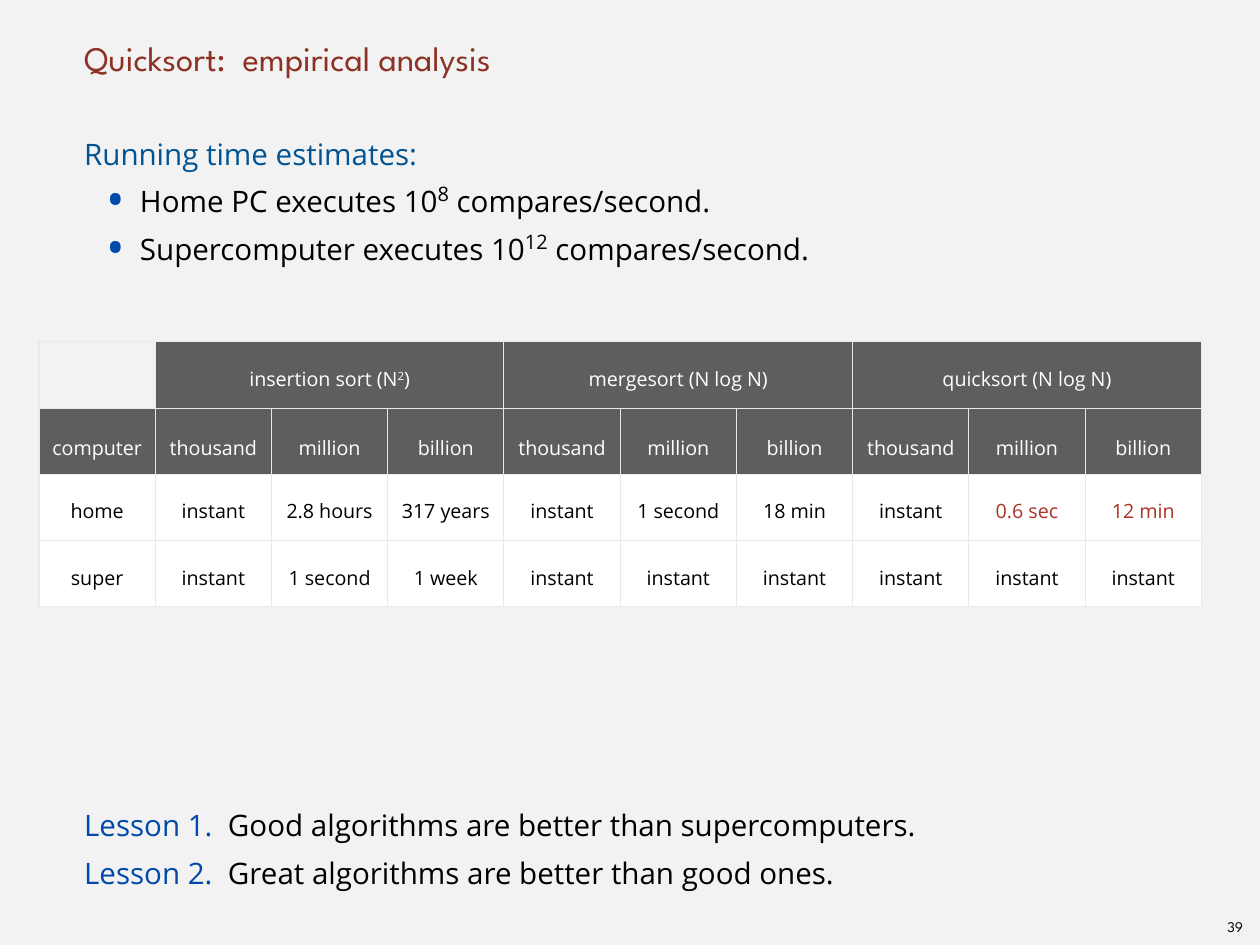
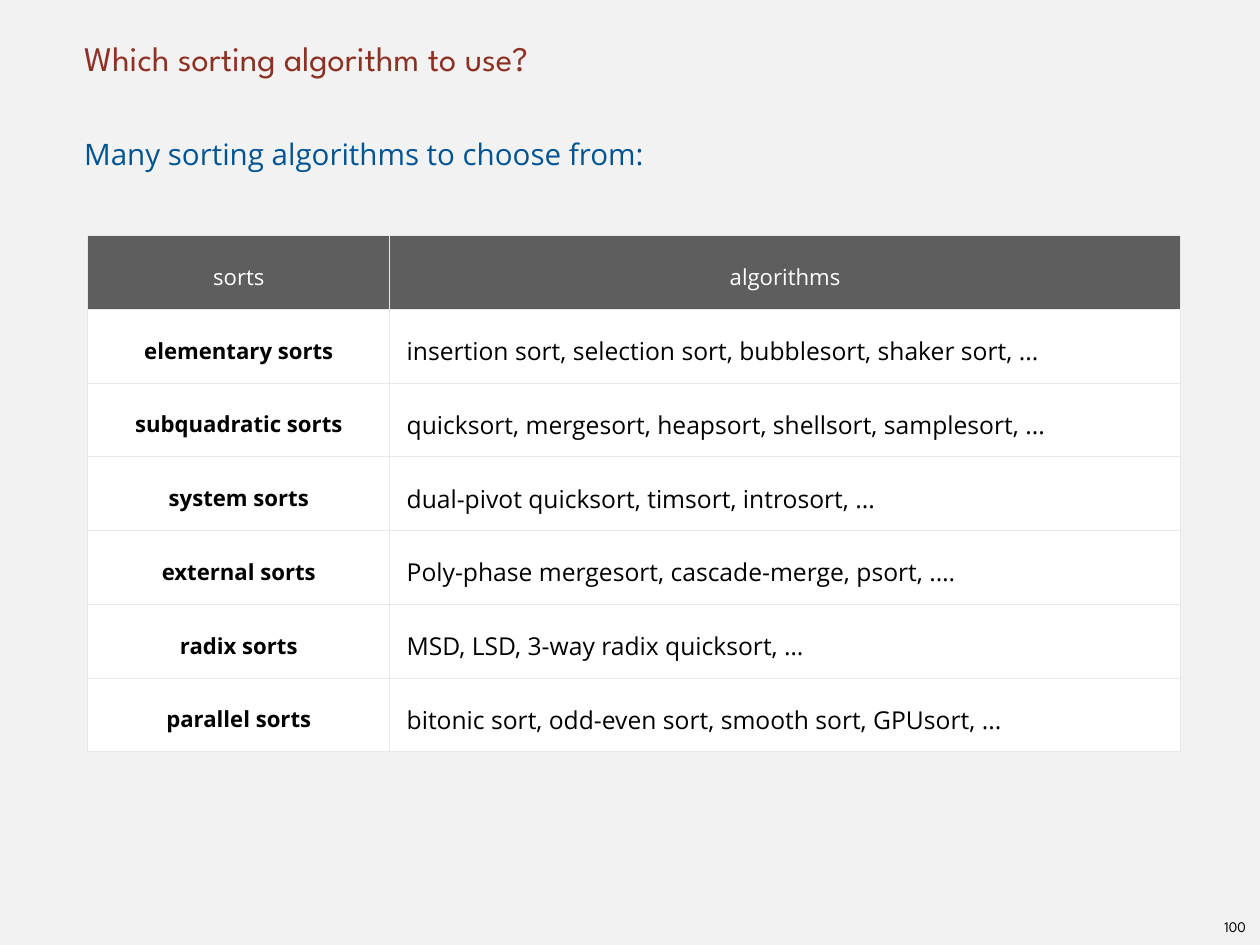
"""Build two lecture slides comparing sorting algorithms."""
from dataclasses import dataclass

from lxml import etree
from pptx import Presentation
from pptx.dml.color import RGBColor
from pptx.enum.text import MSO_ANCHOR, MSO_AUTO_SIZE, PP_ALIGN
from pptx.oxml.ns import qn
from pptx.util import Inches, Pt

LEFT, CENTER = PP_ALIGN.LEFT, PP_ALIGN.CENTER
TOP, MIDDLE, BOTTOM = MSO_ANCHOR.TOP, MSO_ANCHOR.MIDDLE, MSO_ANCHOR.BOTTOM
NO_AUTOFIT = MSO_AUTO_SIZE.NONE

BACKGROUND = RGBColor(0xF2, 0xF2, 0xF2)
TITLE_RED = RGBColor(0x8D, 0x31, 0x24)
HEADING_BLUE = RGBColor(0x00, 0x54, 0x93)
ACCENT_BLUE = RGBColor(0x00, 0x48, 0xAA)
HIGHLIGHT_RED = RGBColor(0xAB, 0x32, 0x26)
HEADER_GRAY = RGBColor(0x5E, 0x5E, 0x5E)
BORDER_GRAY = RGBColor(0xE7, 0xEA, 0xEB)
WHITE = RGBColor(0xFF, 0xFF, 0xFF)
BLACK = RGBColor(0x00, 0x00, 0x00)

TITLE_FONT = "League Spartan"
BODY_FONT = "Open Sans"
BODY_LINE = 39
CELL_LINE = 1.3
INDENT = Inches(0.06)


@dataclass(frozen=True)
class Span:
    """A stretch of text in one format."""
    text: str
    color: RGBColor = BLACK
    size: float = 24
    bold: bool = False
    baseline: int = 0
    font: str = BODY_FONT


@dataclass(frozen=True)
class Line:
    """A paragraph of body text."""
    spans: tuple[Span, ...]
    bullet: bool = False
    lines_before: int = 0


@dataclass(frozen=True)
class Cell:
    """The content and look of a table cell."""
    spans: tuple[Span, ...]
    fill: RGBColor = WHITE
    line_spacing: float = CELL_LINE
    alignment: PP_ALIGN = CENTER
    margin_left: float = 0.06


def set_all(target, values: dict) -> None:
    """Set each named attribute on the target."""
    for name, value in values.items():
        setattr(target, name, value)


def add_spans(paragraph, spans: tuple[Span, ...]) -> None:
    """Append formatted runs to a paragraph."""
    for span in spans:
        run = paragraph.add_run()
        run.text = span.text
        set_all(run.font, {"name": span.font, "size": Pt(span.size), "bold": span.bold})
        run.font.color.rgb = span.color
        if span.baseline:
            run._r.get_or_add_rPr().set("baseline", str(span.baseline * 1000))


def set_indent(paragraph, margin: int, first: int = 0) -> None:
    """Set the left margin and first-line indent of a paragraph."""
    properties = paragraph._p.get_or_add_pPr()
    properties.set("marL", str(margin))
    properties.set("indent", str(first))


def add_bullet(paragraph) -> None:
    """Give a paragraph a large blue bullet."""
    properties = paragraph._p.get_or_add_pPr()
    color = etree.SubElement(properties, qn("a:buClr"))
    etree.SubElement(color, qn("a:srgbClr")).set("val", str(ACCENT_BLUE))
    etree.SubElement(properties, qn("a:buSzPct")).set("val", "167000")
    etree.SubElement(properties, qn("a:buFont")).set("typeface", BODY_FONT)
    etree.SubElement(properties, qn("a:buChar")).set("char", "•")


def set_frame(frame, anchor: MSO_ANCHOR, margin: float = 0, wrap: bool = True) -> None:
    """Set anchor, margins and wrapping of a text frame."""
    sides = ("left", "top", "right", "bottom")
    set_all(frame, {f"margin_{side}": Inches(margin) for side in sides})
    set_all(frame, {"vertical_anchor": anchor, "word_wrap": wrap, "auto_size": NO_AUTOFIT})


def add_titled_slide(presentation, title: str, number: str):
    """Add a slide with its title and page number."""
    slide = presentation.slides.add_slide(presentation.slide_layouts[5])
    shape = slide.shapes.title
    set_all(shape, {"left": Inches(0.89), "top": Inches(0),
                    "width": Inches(12.44), "height": Inches(0.89)})
    set_frame(shape.text_frame, BOTTOM)
    paragraph = shape.text_frame.paragraphs[0]
    paragraph.alignment = LEFT
    set_indent(paragraph, INDENT)
    add_spans(paragraph, (Span(title, TITLE_RED, 28, font=TITLE_FONT),))

    box = slide.shapes.add_textbox(Inches(13.77), Inches(10.3), Inches(0.34), Inches(0.32))
    set_frame(box.text_frame, MIDDLE, 0.06, False)
    paragraph = box.text_frame.paragraphs[0]
    paragraph.alignment = CENTER
    add_spans(paragraph, (Span(number, size=12, font=TITLE_FONT),))
    return slide


def add_body(slide, lines: list[Line]) -> None:
    """Add the body text box."""
    box = slide.shapes.add_textbox(Inches(0.89), Inches(1.39), Inches(12.44), Inches(8.89))
    frame = box.text_frame
    set_frame(frame, TOP)
    for index, line in enumerate(lines):
        paragraph = frame.add_paragraph() if index else frame.paragraphs[0]
        if line.bullet:
            set_indent(paragraph, Inches(0.69), Inches(-0.38))
            add_bullet(paragraph)
        else:
            set_indent(paragraph, INDENT)
        paragraph.line_spacing = Pt(BODY_LINE)
        if line.lines_before:
            paragraph.space_before = Pt(BODY_LINE * line.lines_before)
        add_spans(paragraph, line.spans)


def add_borders(cell) -> None:
    """Draw thin gray borders around a table cell."""
    properties = cell._tc.get_or_add_tcPr()
    for index, edge in enumerate(("lnL", "lnR", "lnT", "lnB")):
        border = etree.Element(qn(f"a:{edge}"), w=str(Pt(1)))
        fill = etree.SubElement(border, qn("a:solidFill"))
        etree.SubElement(fill, qn("a:srgbClr")).set("val", str(BORDER_GRAY))
        properties.insert(index, border)


def fill_cell(cell, content: Cell | None) -> None:
    """Format a table cell and write its content."""
    add_borders(cell)
    if content is None:
        cell.fill.background()
        return
    cell.fill.solid()
    cell.fill.fore_color.rgb = content.fill
    set_all(cell, {"margin_left": Inches(content.margin_left), "margin_right": INDENT,
                   "margin_top": INDENT, "margin_bottom": INDENT,
                   "vertical_anchor": MIDDLE})
    paragraph = cell.text_frame.paragraphs[0]
    set_all(paragraph, {"alignment": content.alignment, "line_spacing": content.line_spacing})
    add_spans(paragraph, content.spans)


def add_grid(slide, rows: list[list[Cell | None]], position: tuple[float, ...],
             header_span: int = 1):
    """Add a table, merging groups of cells in its first row after the first column."""
    columns = len(rows[0])
    table = slide.shapes.add_table(len(rows), columns, *map(Inches, position)).table
    set_all(table, {"first_row": False, "horz_banding": False})
    if header_span > 1:
        for start in range(1, columns, header_span):
            table.cell(0, start).merge(table.cell(0, start + header_span - 1))
    for row_index, row in enumerate(rows):
        for column_index, content in enumerate(row):
            cell = table.cell(row_index, column_index)
            if not cell.is_spanned:
                fill_cell(cell, content)
    return table


def header(*spans: str, size: float = 16, line_spacing: float = CELL_LINE) -> Cell:
    """Make a gray header cell, with any second span raised."""
    return Cell(tuple(Span(text, WHITE, size, baseline=32 if index == 1 else 0)
                      for index, text in enumerate(spans)), HEADER_GRAY, line_spacing)


def build_empirical_analysis(presentation) -> None:
    """Build the slide with running time estimates."""
    slide = add_titled_slide(presentation, "Quicksort:  empirical analysis", "39")
    lines = [Line((Span("Running time estimates:", HEADING_BLUE),))]
    for computer, exponent in (("Home PC", "8"), ("Supercomputer", "12")):
        lines.append(Line((Span(f"{computer} executes 10"),
                           Span(exponent, size=28, baseline=31),
                           Span(" compares/second.")), bullet=True))
    lessons = ("Good algorithms are better than supercomputers.",
               "Great algorithms are better than good ones.")
    for number, lesson in enumerate(lessons, 1):
        lines.append(Line((Span(f"Lesson {number}.  ", ACCENT_BLUE), Span(lesson)),
                          lines_before=11 if number == 1 else 0))
    add_body(slide, lines)

    rows: list[list[Cell | None]] = [[None]]
    for spans in (("insertion sort (N", "2", ")"), ("mergesort (N log N)",),
                  ("quicksort (N log N)",)):
        rows[0] += [header(*spans), None, None]
    labels = ["computer"] + ["thousand", "million", "billion"] * 3
    rows.append([header(label, line_spacing=Pt(32)) for label in labels])
    times = (
        ("home", "instant", "2.8 hours", "317 years", "instant", "1 second", "18 min",
         "instant", "0.6 sec", "12 min"),
        ("super", "instant", "1 second", "1 week") + ("instant",) * 6,
    )
    highlights = {"0.6 sec", "12 min"}
    for row in times:
        rows.append([Cell((Span(text, HIGHLIGHT_RED if text in highlights else BLACK, 16),))
                     for text in row])
    add_grid(slide, rows, (0.44, 3.86, 13.12, 2.99), header_span=3)


def build_algorithm_choice(presentation) -> None:
    """Build the slide listing kinds of sorting algorithms."""
    slide = add_titled_slide(presentation, "Which sorting algorithm to use?", "100")
    add_body(slide, [Line((Span("Many sorting algorithms to choose from:", HEADING_BLUE),))])
    families = {
        "elementary sorts": "insertion sort, selection sort, bubblesort, shaker sort, ...",
        "subquadratic sorts": "quicksort, mergesort, heapsort, shellsort, samplesort, ...",
        "system sorts": "dual-pivot quicksort, timsort, introsort, ...",
        "external sorts": "Poly-phase mergesort, cascade-merge, psort, .…",
        "radix sorts": "MSD, LSD, 3-way radix quicksort, …",
        "parallel sorts": "bitonic sort, odd-even sort, smooth sort, GPUsort, ...",
    }
    rows = [[header("sorts", size=18), header("algorithms", size=18)]]
    for family, algorithms in families.items():
        rows.append([Cell((Span(family, size=18, bold=True),)),
                     Cell((Span(algorithms, size=20),), alignment=LEFT, margin_left=0.19)])
    table = add_grid(slide, rows, (0.99, 2.66, 12.33, 5.83))
    for column, width in zip(table.columns, (3.41, 8.92)):
        column.width = Inches(width)


def main() -> None:
    """Build and save the presentation."""
    presentation = Presentation()
    set_all(presentation, {"slide_width": Inches(14.22), "slide_height": Inches(10.67)})
    fill = presentation.slide_master.background.fill
    fill.solid()
    fill.fore_color.rgb = BACKGROUND
    build_empirical_analysis(presentation)
    build_algorithm_choice(presentation)
    presentation.save("out.pptx")


if __name__ == "__main__":
    main()
